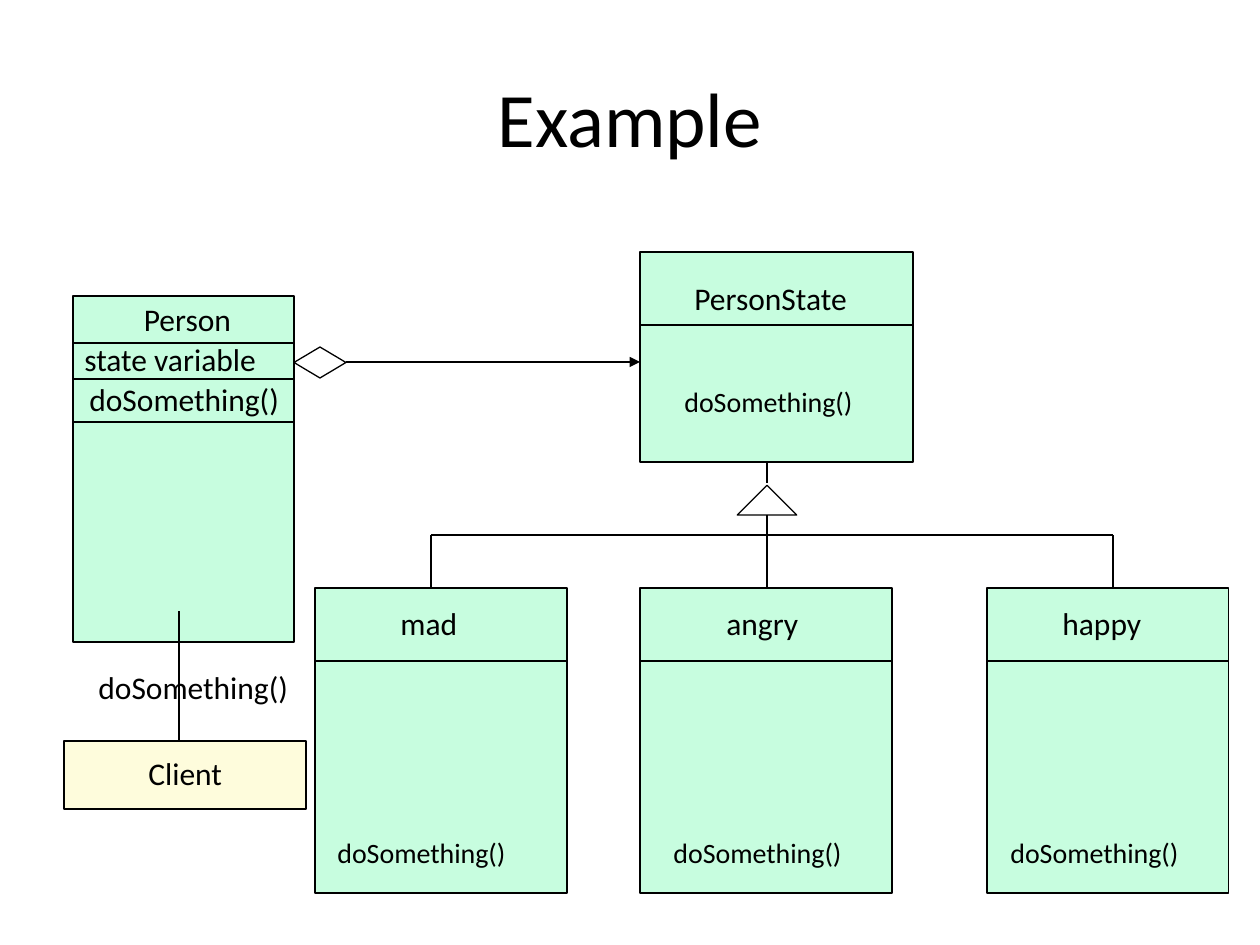
from dataclasses import dataclass
from lxml.etree import SubElement
from pptx import Presentation
from pptx.dml.color import RGBColor
from pptx.enum.shapes import MSO_CONNECTOR, MSO_SHAPE
from pptx.enum.text import MSO_ANCHOR, PP_ALIGN
from pptx.oxml.ns import qn
from pptx.util import Emu, Pt


@dataclass(frozen=True)
class Theme:
    font: str = "Calibri"
    ink: str = "000000"
    mint: str = "C7FDDF"
    cream: str = "FEFCDC"
    title: int = 44
    name: int = 18
    method: int = 16
    line: float = 0.75


T = Theme()
PX = 914400 // 126
SUB_Y, SUB_H, HEADER_H = 588, 305, 73
STATE = (640, 252, 273, 210)
PERSON = (73, 296, 221, 346)
CLIENT = (64, 741, 242, 68)
BUS_Y, TRUNK_X, LINK_Y, CLIENT_X = 535, 767, 362, 179

SUBCLASSES = [
    {"name": "mad", "x": 315, "w": 252, "name_x": 388, "method_x": 325, "stem_x": 431},
    {"name": "angry", "x": 640, "w": 252, "name_x": 714, "method_x": 661, "stem_x": TRUNK_X},
    {"name": "happy", "x": 987, "w": 242, "name_x": 1050, "method_x": 998, "stem_x": 1113},
]
CLASSES = [
    (PERSON, (47, 83, 126)),
    (STATE, (HEADER_H,)),
    *[((c["x"], SUB_Y, c["w"], SUB_H), (HEADER_H,)) for c in SUBCLASSES],
]
STEMS = [
    (c["stem_x"], SUB_Y, c["stem_x"], 515 if c["stem_x"] == TRUNK_X else BUS_Y)
    for c in SUBCLASSES
]
LINES = [
    (SUBCLASSES[0]["stem_x"], BUS_Y, SUBCLASSES[-1]["stem_x"], BUS_Y),
    *STEMS,
    (TRUNK_X, 483, TRUNK_X, 462),
    (CLIENT_X, 741, CLIENT_X, 611),
]
LABELS = [
    ("PersonState", 682, 273, 179, T.name),
    ("doSomething()", 672, 378, 209, T.method),
    ("state variable", 72, 334, 213, T.name),
    ("doSomething()", 77, 374, 218, T.name),
    ("doSomething()", 86, 662, 218, T.name),
    ("Client", 136, 748, 100, T.name),
    *[(c["name"], c["name_x"], 598, 147, T.name) for c in SUBCLASSES],
    *[("doSomething()", c["method_x"], 829, 209, T.method) for c in SUBCLASSES],
]


def px(*values):
    return [Emu(v * PX) for v in values]


def rgb(value):
    return RGBColor.from_string(value)


def add_shape(s, kind, box, fill=None, rotation=0):
    sp = s.shapes.add_shape(kind, *px(*box))
    sp.shadow.inherit = False
    sp.rotation = rotation
    if fill:
        sp.fill.solid()
        sp.fill.fore_color.rgb = rgb(fill)
    else:
        sp.fill.background()
    sp.line.color.rgb = rgb(T.ink)
    sp.line.width = Pt(T.line)


def add_line(s, ends, arrow=False):
    sp = s.shapes.add_connector(MSO_CONNECTOR.STRAIGHT, *px(*ends))
    sp.line.color.rgb = rgb(T.ink)
    sp.line.width = Pt(T.line)
    if arrow:
        SubElement(sp.line._get_or_add_ln(), qn("a:tailEnd"), type="triangle")
    SubElement(sp._element.spPr, qn("a:effectLst"))


def add_text(s, text, box, size, align=PP_ALIGN.LEFT, wrap=False, anchor=MSO_ANCHOR.TOP):
    tf = s.shapes.add_textbox(*px(*box)).text_frame
    for key, value in {"word_wrap": wrap, "vertical_anchor": anchor}.items():
        setattr(tf, key, value)
    p = tf.paragraphs[0]
    p.alignment = align
    r = p.add_run()
    r.text = text
    for key, value in {"name": T.font, "size": Pt(size)}.items():
        setattr(r.font, key, value)
    r.font.color.rgb = rgb(T.ink)


def main():
    prs = Presentation()
    prs.slide_width, prs.slide_height = px(1260, 945)
    s = prs.slides.add_slide(prs.slide_layouts[6])

    add_text(s, "Example", (63, 38, 1134, 157), T.title, PP_ALIGN.CENTER, True, MSO_ANCHOR.MIDDLE)
    for box, dividers in CLASSES:
        add_shape(s, MSO_SHAPE.RECTANGLE, box, T.mint)
        x, y, w, _ = box
        for offset in dividers:
            add_line(s, (x, y + offset, x + w, y + offset))
    add_shape(s, MSO_SHAPE.RECTANGLE, CLIENT, T.cream)

    add_shape(s, MSO_SHAPE.DIAMOND, (294, 347, 52, 31))
    add_line(s, (346, LINK_Y, STATE[0], LINK_Y), arrow=True)
    add_shape(s, MSO_SHAPE.RIGHT_TRIANGLE, (746, 494, 42, 42), rotation=135)
    for ends in LINES:
        add_line(s, ends)

    add_text(s, "Person", (63, 294, 249, 50), T.name, PP_ALIGN.CENTER, True)
    for text, x, y, w, size in LABELS:
        add_text(s, text, (x, y, w, 50 if size == T.name else 47), size)
    prs.save("out.pptx")


if __name__ == "__main__":
    main()
